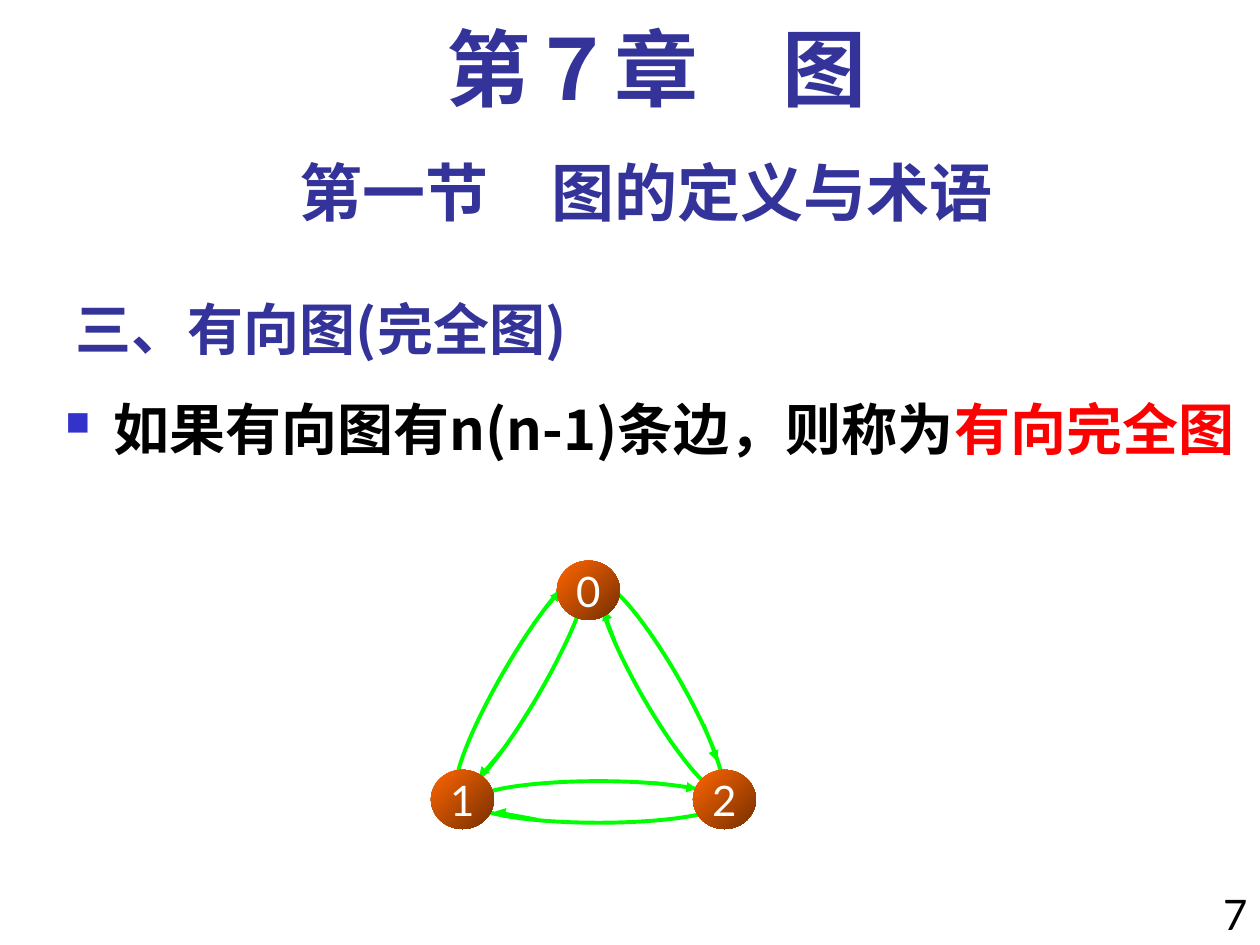
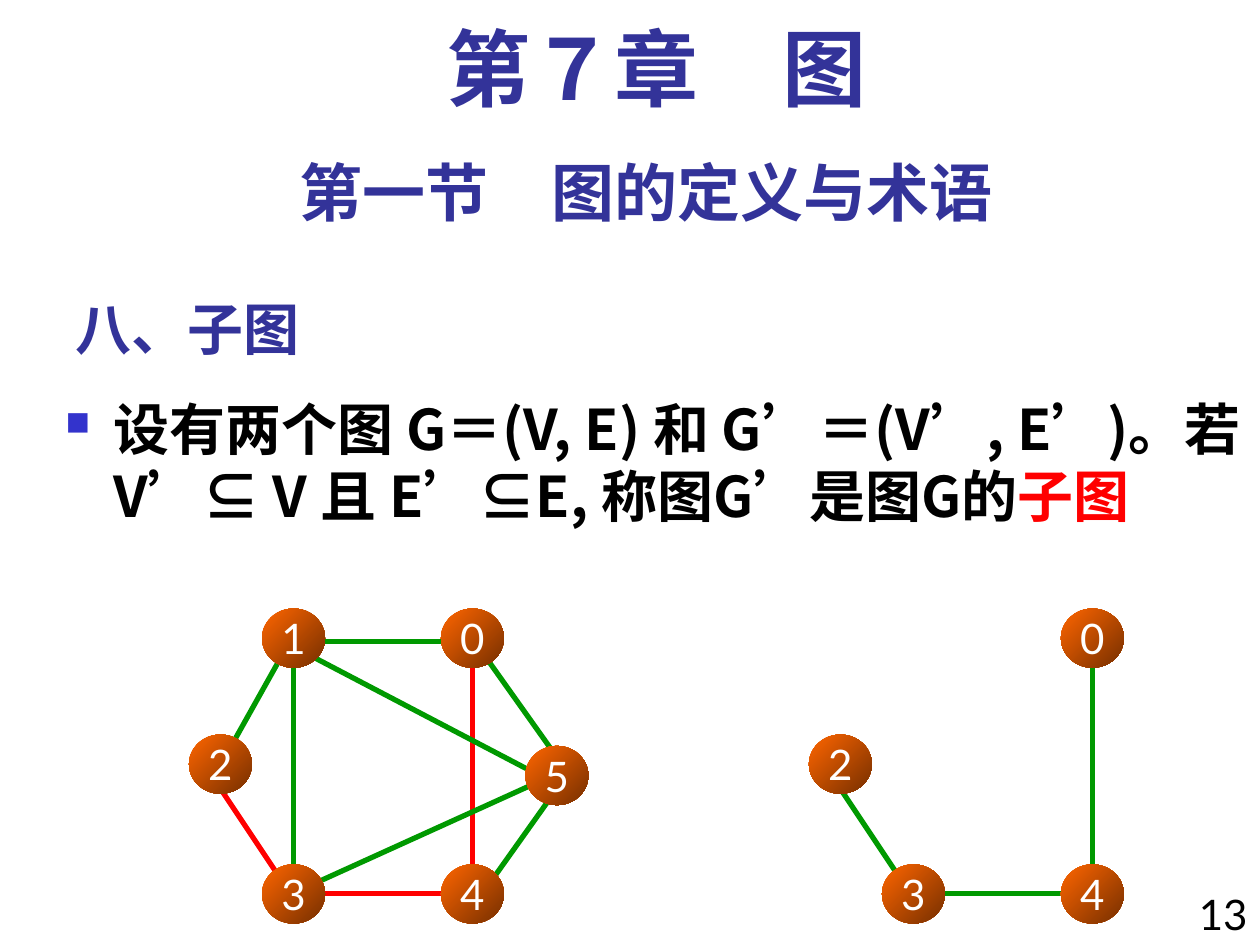
"""Build two slides on directed complete graphs and subgraphs."""
from typing import NamedTuple

from lxml import etree
from pptx import Presentation
from pptx.dml.color import RGBColor
from pptx.enum.shapes import MSO_CONNECTOR, MSO_SHAPE
from pptx.enum.text import MSO_ANCHOR, MSO_AUTO_SIZE, PP_ALIGN
from pptx.oxml.ns import qn
from pptx.util import Emu, Pt

PX = 9144
OVAL = MSO_SHAPE.OVAL
LINE = MSO_CONNECTOR.STRAIGHT
LEFT, MID, RIGHT = PP_ALIGN.LEFT, PP_ALIGN.CENTER, PP_ALIGN.RIGHT
TOP, CENTRE, BOTTOM = MSO_ANCHOR.TOP, MSO_ANCHOR.MIDDLE, MSO_ANCHOR.BOTTOM
FIXED = MSO_AUTO_SIZE.NONE

NAVY = RGBColor(0x33, 0x33, 0x99)
BLACK = RGBColor(0, 0, 0)
WHITE = RGBColor(255, 255, 255)
RED = RGBColor(255, 0, 0)
LIME = RGBColor(0, 255, 0)
GREEN = RGBColor(0, 0x99, 0)
ORANGE = RGBColor(255, 0x66, 0)
BROWN = RGBColor(0x76, 0x2F, 0)
BULLET = "3333CC"

HEI, LATO, TIMES, ARIAL = "Noto Sans CJK SC", "Lato", "Times New Roman", "Arial"
NODE_W, NODE_H = 50, 47
SHIFT = 492


class Box(NamedTuple):
    """A frame in px."""
    x: int
    y: int
    w: int
    h: int


class Style(NamedTuple):
    """The look of a paragraph."""
    font: str
    size: int
    color: RGBColor
    bold: bool = True
    align: PP_ALIGN = LEFT


class Span(NamedTuple):
    """A run of body text."""
    text: str
    font: str = HEI
    color: RGBColor = BLACK


class Node(NamedTuple):
    """A graph node by its top left corner."""
    name: str
    x: int
    y: int


class Edge(NamedTuple):
    """A straight line between two points."""
    x1: int
    y1: int
    x2: int
    y2: int


class Arc(NamedTuple):
    """A pair of curved edges drawn as one ellipse with two heads."""
    box: Box
    turn: int
    heads: tuple[Edge, Edge]


HEAD = Style(HEI, 32, NAVY)
CHAPTER = Style(TIMES, 48, NAVY, align=MID)
SECTION = Style(LATO, 36, NAVY, align=MID)
NUMBER = Style(LATO, 24, BLACK, False, RIGHT)
LABEL = Style(LATO, 24, WHITE, False, MID)

ARCS = (
    Arc(Box(375, 620, 200, 33), 0,
        (Edge(519, 621, 553, 626), Edge(426, 650, 393, 644))),
    Arc(Box(314, 525, 200, 33), 300,
        (Edge(423, 495, 445, 469), Edge(402, 591, 380, 617))),
    Arc(Box(431, 530, 187, 32), 60,
        (Edge(559, 575, 569, 604), Edge(490, 514, 479, 484))),
)
RING = (Node("1", 342, 611), Node("2", 550, 611), Node("0", 442, 445))

NODES = (
    Node("1", 208, 483), Node("3", 208, 686), Node("2", 150, 583),
    Node("5", 417, 592), Node("4", 350, 686), Node("0", 350, 483),
)
EDGES = {
    "01": Edge(358, 509, 258, 509),
    "04": Edge(375, 526, 375, 693),
    "05": Edge(383, 518, 442, 601),
    "12": Edge(225, 518, 183, 593),
    "13": Edge(233, 701, 233, 526),
    "15": Edge(433, 618, 242, 518),
    "23": Edge(225, 701, 175, 626),
    "34": Edge(367, 709, 242, 709),
    "35": Edge(433, 618, 250, 701),
    "45": Edge(442, 626, 383, 709),
}
SUB_NODES, SUB_EDGES = "0234", ("04", "23", "34")

PRIME = Span("’", TIMES)
FULL = (Span("如果有向图有n(n-1)条边，则称为"), Span("有向完全图", color=RED))
SUBSET = (
    Span("设有两个图 G＝(V, E) 和 G"), PRIME, Span("＝(V"), PRIME,
    Span(", E"), PRIME, Span(")。若 V"), PRIME, Span("⊆ ", ARIAL),
    Span("V 且 E"), PRIME, Span("⊆", ARIAL), Span("E, 称图G"), PRIME,
    Span("是图G的"), Span("子图", color=RED),
)


def place(box: Box) -> tuple[Emu, ...]:
    """Turn a px frame into EMU."""
    return tuple(Emu(v * PX) for v in box)


def write(shape, text: str, style: Style, anchor=TOP, wrap: bool = True):
    """Put one styled paragraph in a shape and return it."""
    frame = shape.text_frame
    frame.word_wrap = wrap
    frame.auto_size = FIXED
    frame.vertical_anchor = anchor
    para = frame.paragraphs[0]
    para.text = text
    para.alignment = style.align
    font = para.font
    font.name, font.size, font.bold = style.font, Pt(style.size), style.bold
    font.color.rgb = style.color
    return para


def add_text(slide, box: Box, text: str, style: Style):
    """Add a text box with one paragraph."""
    return write(slide.shapes.add_textbox(*place(box)), text, style)


def add_body(slide, spans: tuple[Span, ...]) -> None:
    """Add the bulleted definition."""
    frame = slide.shapes.add_textbox(*place(Box(42, 308, 958, 442))).text_frame
    frame.word_wrap = True
    para = frame.paragraphs[0]
    props = para._p.get_or_add_pPr()
    props.set("marL", str(38 * PX))
    props.set("indent", str(-38 * PX))
    tint = etree.SubElement(props, qn("a:buClr"))
    etree.SubElement(tint, qn("a:srgbClr"), val=BULLET)
    etree.SubElement(props, qn("a:buSzPct"), val="60000")
    etree.SubElement(props, qn("a:buChar"), char="■")
    para.font.size, para.font.bold = Pt(32), True
    for span in spans:
        run = para.add_run()
        run.text = span.text
        run.font.name = span.font
        run.font.color.rgb = span.color


def add_edge(slide, edge: Edge, color: RGBColor, width: float,
             arrow: bool = False, dx: int = 0) -> None:
    """Draw a line, with an arrowhead if asked."""
    x1, y1, x2, y2 = edge
    line = slide.shapes.add_connector(
        LINE, *place(Box(x1 + dx, y1, x2 + dx, y2)))
    line.line.color.rgb = color
    line.line.width = Pt(width)
    if arrow:
        etree.SubElement(line.line._get_or_add_ln(), qn("a:tailEnd"),
                         type="triangle")
    etree.SubElement(line._element.spPr, qn("a:effectLst"))


def add_arc(slide, arc: Arc) -> None:
    """Draw an ellipse and its two arrowheads."""
    oval = slide.shapes.add_shape(OVAL, *place(arc.box))
    oval.shadow.inherit = False
    oval.rotation = arc.turn
    oval.fill.background()
    oval.line.color.rgb = LIME
    oval.line.width = Pt(2.25)
    for head in arc.heads:
        add_edge(slide, head, LIME, 1.5, True)


def add_node(slide, node: Node, dx: int = 0) -> None:
    """Draw a shaded node with its label."""
    oval = slide.shapes.add_shape(
        OVAL, *place(Box(node.x + dx, node.y, NODE_W, NODE_H)))
    oval.shadow.inherit = False
    oval.line.fill.background()
    oval.fill.gradient()
    oval.fill.gradient_angle = 315
    for stop, color in zip(oval.fill.gradient_stops, (ORANGE, BROWN)):
        stop.color.rgb = color
    frame = oval.text_frame
    frame.margin_left = frame.margin_right = 0
    write(oval, node.name, LABEL, CENTRE, False)


def add_page(deck, head: str, number: int, spans: tuple[Span, ...]):
    """Add a slide with the shared headings, body and number."""
    slide = deck.slides.add_slide(deck.slide_layouts[5])
    title = slide.shapes.title
    title.left, title.top, title.width, title.height = place(
        Box(50, 217, 625, 75))
    write(title, head, HEAD, BOTTOM)
    add_text(slide, Box(933, 700, 67, 59), str(number), NUMBER)
    add_text(slide, Box(50, 117, 925, 70), "第一节　图的定义与术语", SECTION)
    add_body(slide, spans)
    para = add_text(slide, Box(67, 17, 908, 83), "第７章　图", CHAPTER)
    para.line_spacing = 0.9
    return slide


def main() -> None:
    """Build and save the deck."""
    deck = Presentation()
    deck.slide_width, deck.slide_height = Emu(1000 * PX), Emu(750 * PX)

    slide = add_page(deck, "三、有向图(完全图)", 7, FULL)
    for arc in ARCS:
        add_arc(slide, arc)
    for node in RING:
        add_node(slide, node)

    slide = add_page(deck, "八、子图", 13, SUBSET)
    for key, edge in EDGES.items():
        add_edge(slide, edge, RED if key in SUB_EDGES else GREEN, 3)
    for node in NODES:
        add_node(slide, node)
    for key in SUB_EDGES:
        add_edge(slide, EDGES[key], GREEN, 3, dx=SHIFT)
    for node in NODES:
        if node.name in SUB_NODES:
            add_node(slide, node, SHIFT)

    deck.save("out.pptx")


if __name__ == "__main__":
    main()
